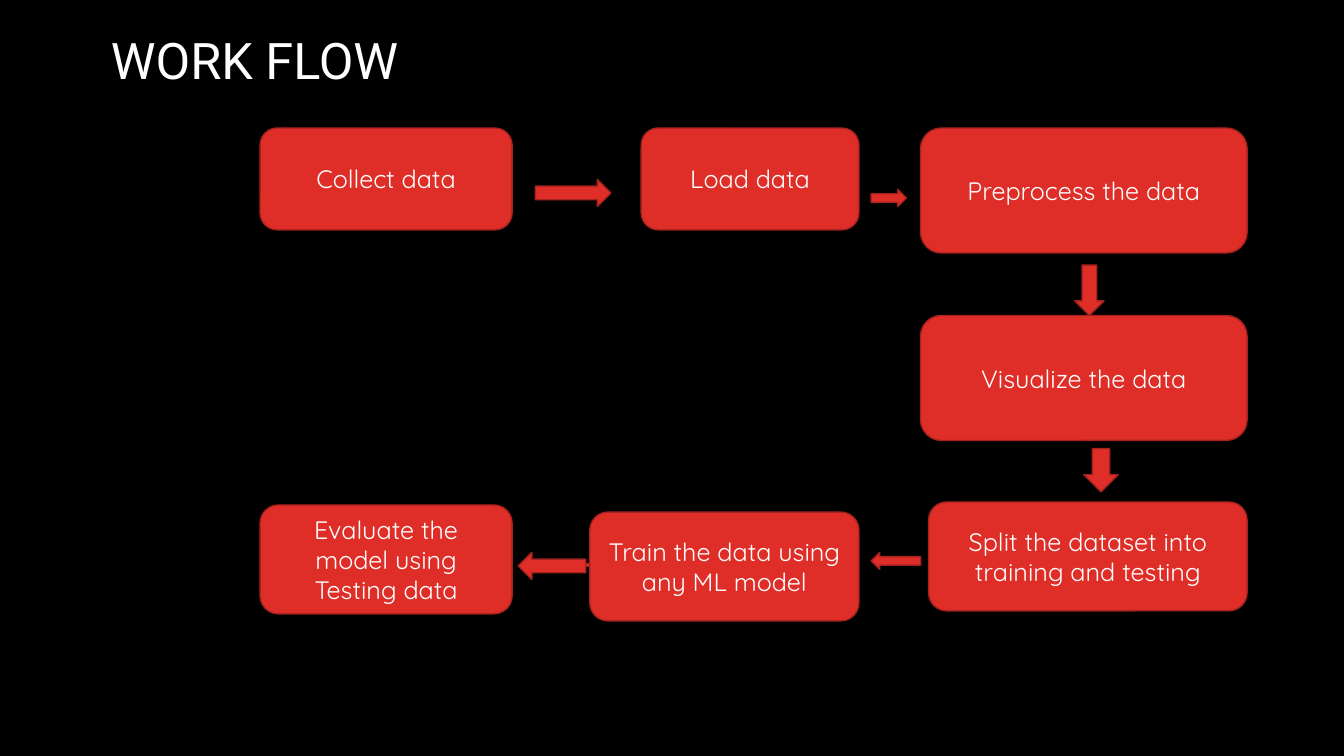
from dataclasses import dataclass

from pptx import Presentation
from pptx import util as u
from pptx.dml.color import RGBColor
from pptx.enum import shapes, text


@dataclass(frozen=True)
class Theme:
    background: RGBColor = RGBColor(0x00, 0x00, 0x00)
    fill: RGBColor = RGBColor(0xDF, 0x2E, 0x28)
    outline: RGBColor = RGBColor(0xA5, 0x22, 0x1E)
    ink: RGBColor = RGBColor(0xFF, 0xFF, 0xFF)
    title_font: str = "Roboto"
    body_font: str = "Quicksand"
    title_size: int = 36
    body_size: int = 18
    line_width: int = 1


THEME = Theme()
KINDS = shapes.MSO_SHAPE

# Grid in inches: boxes end flush at the right edge of their column
COLUMN_RIGHT = {"left": 5.08, "middle": 8.52, "right": 12.37}
ROW_TOP = {"collect": 1.27, "visualize": 3.13, "split": 4.98}

# Label, column, row, offset below the row, width, height
STEPS = [
    ("Collect data", "left", "collect", 0, 2.5, 1.01),
    ("Load data", "middle", "collect", 0, 2.16, 1.01),
    ("Preprocess the data", "right", "collect", 0, 3.24, 1.24),
    ("Visualize the data", "right", "visualize", 0, 3.24, 1.24),
    ("Split the dataset into training and testing", "right", "split", 0, 3.16, 1.08),
    ("Train the data using any ML model", "middle", "split", 0.1, 2.67, 1.08),
    ("Evaluate the model using Testing data", "left", "split", 0.03, 2.5, 1.08),
]

# Direction, left, top, width, height
ARROWS = [
    (KINDS.RIGHT_ARROW, 5.31, 1.78, 0.75, 0.27),
    (KINDS.RIGHT_ARROW, 8.64, 1.88, 0.35, 0.17),
    (KINDS.DOWN_ARROW, 10.66, 2.63, 0.29, 0.5),
    (KINDS.DOWN_ARROW, 10.75, 4.45, 0.34, 0.43),
    (KINDS.LEFT_ARROW, 8.64, 5.48, 0.49, 0.17),
    (KINDS.LEFT_ARROW, 5.78, 5.58, 0.07, 0.05),
    (KINDS.LEFT_ARROW, 5.14, 5.48, 0.67, 0.27),
]


def write(shape, words, font, size, alignment):
    frame = shape.text_frame
    frame.text = words
    frame.word_wrap = True
    frame.auto_size = text.MSO_AUTO_SIZE.NONE
    frame.vertical_anchor = text.MSO_ANCHOR.MIDDLE
    paragraph = frame.paragraphs[0]
    paragraph.alignment = alignment
    run_font = paragraph.runs[0].font
    run_font.name = font
    run_font.size = u.Pt(size)
    run_font.color.rgb = THEME.ink
    return paragraph


def add_title(slide, words):
    title = slide.shapes.title
    title.left, title.top = u.Inches(1), u.Inches(0.29)
    title.width, title.height = u.Inches(11.58), u.Inches(0.67)
    paragraph = write(title, words, THEME.title_font, THEME.title_size, text.PP_ALIGN.LEFT)
    paragraph.line_spacing = 0.9


def add_red_shape(slide, kind, left, top, width, height):
    box = [u.Inches(length) for length in (left, top, width, height)]
    shape = slide.shapes.add_shape(kind, *box)
    shape.shadow.inherit = False
    shape.fill.solid()
    shape.fill.fore_color.rgb = THEME.fill
    shape.line.color.rgb = THEME.outline
    shape.line.width = u.Pt(THEME.line_width)
    return shape


def add_step(slide, label, column, row, offset, width, height):
    left = COLUMN_RIGHT[column] - width
    top = ROW_TOP[row] + offset
    shape = add_red_shape(slide, KINDS.ROUNDED_RECTANGLE, left, top, width, height)
    write(shape, label, THEME.body_font, THEME.body_size, text.PP_ALIGN.CENTER)


def main():
    presentation = Presentation()
    presentation.slide_width = u.Inches(13.33)
    presentation.slide_height = u.Inches(7.5)

    # Title-only slide on black
    slide = presentation.slides.add_slide(presentation.slide_layouts[5])
    slide.background.fill.solid()
    slide.background.fill.fore_color.rgb = THEME.background
    add_title(slide, "WORK FLOW")

    # Steps, then the arrows between them
    for step in STEPS:
        add_step(slide, *step)
    for arrow in ARROWS:
        add_red_shape(slide, *arrow)

    presentation.save("out.pptx")


if __name__ == "__main__":
    main()
